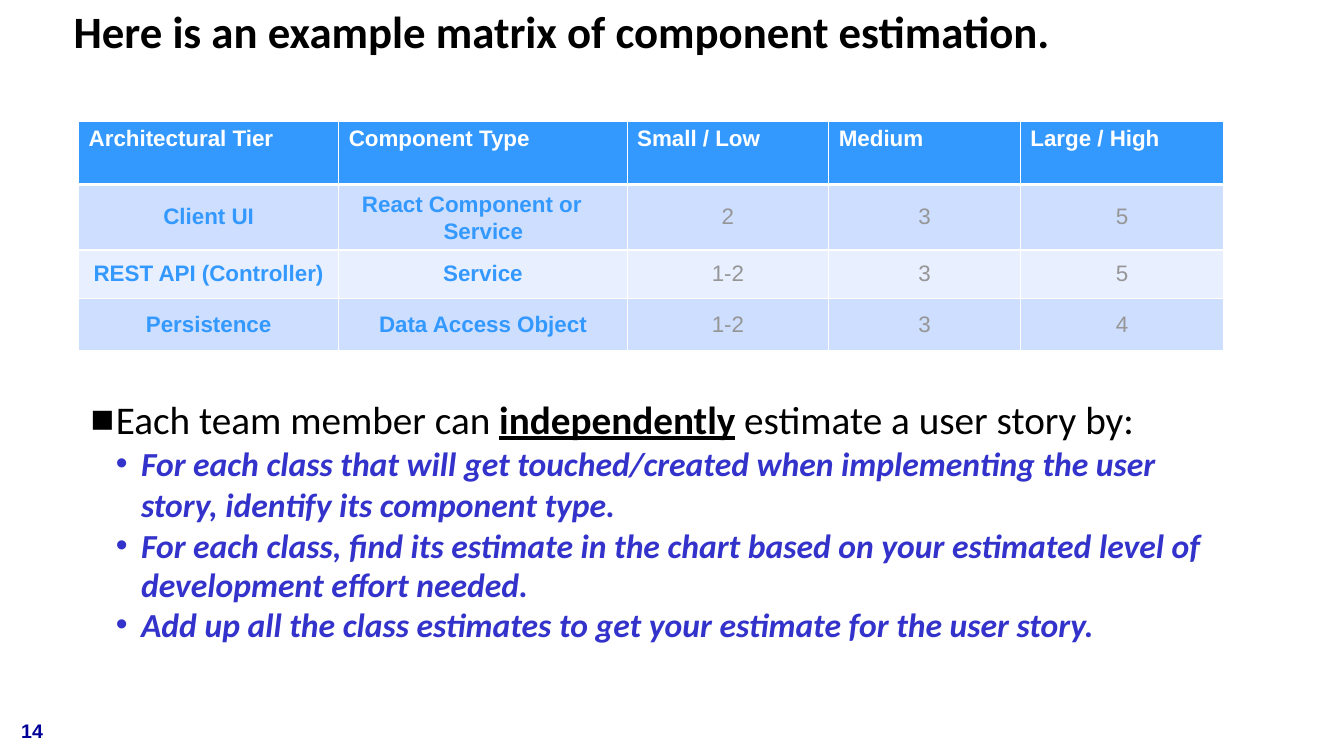
from lxml import etree
from pptx import Presentation
from pptx import util as u
from pptx.dml import color
from pptx.enum import text
from pptx.oxml import ns

COLORS = {
    "black": "000000", "white": "FFFFFF", "blue": "3399FF", "gray": "969696",
    "band_dark": "CDDEFF", "band_light": "E8EFFF", "indigo": "3333CC", "navy": "000099",
}


def add_box(left, top, width, height):
    frame = page.shapes.add_textbox(*map(u.Inches, (left, top, width, height))).text_frame
    frame.word_wrap = True
    frame.margin_left = frame.margin_right = frame.margin_top = frame.margin_bottom = 0
    return frame


def style(span, font, size, name, bold=False, italic=False):
    span.font.name = font
    span.font.size = u.Pt(size)
    span.font.bold = bold
    span.font.italic = italic
    span.font.color.rgb = color.RGBColor.from_string(COLORS[name])


deck = Presentation()
deck.slide_width = u.Inches(13.33)
deck.slide_height = u.Inches(7.5)
page = deck.slides.add_slide(deck.slide_layouts[6])

title = add_box(0.73, 0.04, 11.8, 1.02).paragraphs[0]
title.text = "Here is an example matrix of component estimation."
style(title.runs[0], "Calibri", 32, "black", bold=True)

rows = [
    ["Architectural Tier", "Component Type", "Small / Low", "Medium", "Large / High"],
    ["Client UI", "React Component or Service", "2", "3", "5"],
    ["REST API (Controller)", "Service", "1-2", "3", "5"],
    ["Persistence", "Data Access Object", "1-2", "3", "4"],
]
widths = [2.58, 2.86, 2, 1.9, 2.02]
heights = [0.63, 0.65, 0.48, 0.52]
matrix = page.shapes.add_table(
    len(rows), len(widths), u.Inches(0.78), u.Inches(1.2),
    u.Inches(sum(widths)), u.Inches(sum(heights))).table
matrix.horz_banding = False
for column, width in zip(matrix.columns, widths):
    column.width = u.Inches(width)
for row, height in zip(matrix.rows, heights):
    row.height = u.Inches(height)

for r, labels in enumerate(rows):
    for c, label in enumerate(labels):
        cell = matrix.cell(r, c)
        cell.margin_left = u.Inches(0.1 if r == 0 else 0)
        cell.margin_right = cell.margin_bottom = 0
        cell.margin_top = u.Inches(0.05 if r == 0 else 0)
        cell.vertical_anchor = text.MSO_ANCHOR.TOP if r == 0 else text.MSO_ANCHOR.MIDDLE
        para = cell.text_frame.paragraphs[0]
        para.text = label
        para.alignment = text.PP_ALIGN.LEFT if r == 0 else text.PP_ALIGN.CENTER
        name = "white" if r == 0 else "blue" if c < 2 else "gray"
        style(para.runs[0], "Arial", 16, name, bold=name != "gray")

        properties = cell._tc.get_or_add_tcPr()
        for side in ("L", "R", "T", "B"):
            thick = (r, side) in ((0, "B"), (1, "T"))
            line = etree.SubElement(properties, ns.qn(f"a:ln{side}"), w=str(u.Pt(3 if thick else 1)))
            fill = etree.SubElement(line, ns.qn("a:solidFill"))
            etree.SubElement(fill, ns.qn("a:srgbClr"), val=COLORS["white"])
        cell.fill.solid()
        band = "blue" if r == 0 else "band_dark" if r % 2 else "band_light"
        cell.fill.fore_color.rgb = color.RGBColor.from_string(COLORS[band])

react = matrix.cell(1, 1).text_frame.paragraphs[0]
react.alignment = text.PP_ALIGN.LEFT
react.line_spacing = u.Pt(19)
react._p.get_or_add_pPr().set("marL", str(u.Inches(1.04)))
react._p.get_or_add_pPr().set("indent", str(u.Inches(-0.81)))

steps = [
    ("■", 0.27, None, 0, ["Each team member can ", "independently", " estimate a user story by:"]),
    ("•", 0.52, 1.01, 0.1, ["For each class that will get touched/created when implementing the user "
                            "story, identify its component type."]),
    ("•", 0.52, u.Pt(28.1), 1.5, ["For each class, find its estimate in the chart based on your "
                                  "estimated level of development effort needed."]),
    ("•", 0.52, u.Pt(28.2), 0, ["Add up all the class estimates to get your estimate for the user story."]),
]
body = add_box(0.88, 3.92, 11.15, 2.49)
for number, (bullet, indent, spacing, before, parts) in enumerate(steps):
    para = body.paragraphs[0] if number == 0 else body.add_paragraph()
    properties = para._p.get_or_add_pPr()
    properties.set("marL", str(u.Inches(indent)))
    properties.set("indent", str(u.Inches(-0.25)))
    etree.SubElement(properties, ns.qn("a:buFont"), typeface="Arial")
    etree.SubElement(properties, ns.qn("a:buChar"), char=bullet)
    if number:
        para.level = 1
        para.line_spacing = spacing
        para.space_before = u.Pt(before)
    for part in parts:
        span = para.add_run()
        span.text = part
        if number:
            style(span, "Calibri", 24, "indigo", bold=True, italic=True)
        else:
            key = part == "independently"
            style(span, "Calibri", 28, "black", bold=key)
            span.font.underline = key

page_number = add_box(0.21, 7.14, 0.4, 0.25).paragraphs[0]
page_number.text = "14"
page_number.line_spacing = u.Pt(16.4)
style(page_number.runs[0], "Arial", 14, "navy", bold=True)

deck.save("out.pptx")
